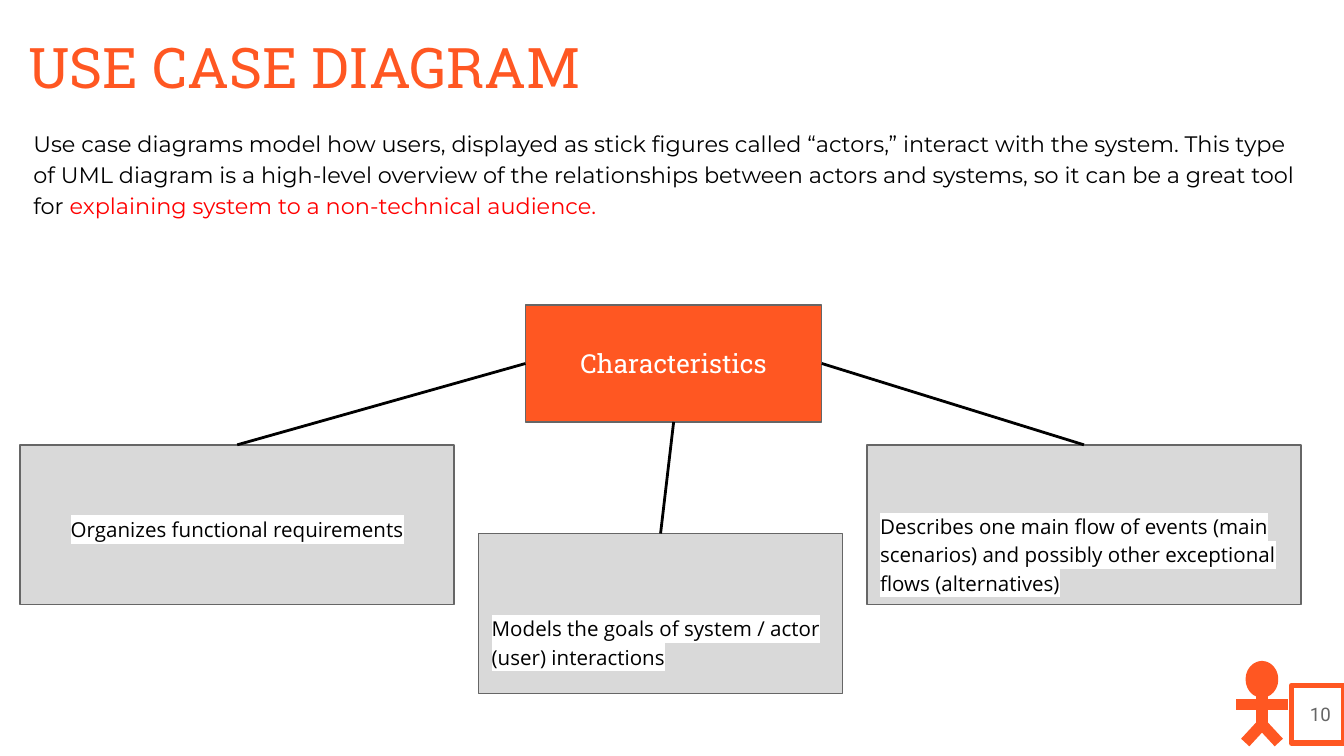
from lxml.etree import SubElement
from pptx import Presentation
from pptx.dml.color import RGBColor
from pptx.enum.shapes import MSO_CONNECTOR, MSO_SHAPE
from pptx.enum.text import MSO_ANCHOR, MSO_AUTO_SIZE, PP_ALIGN
from pptx.oxml.ns import qn
from pptx.util import Inches, Pt

COLORS = {
    "accent": "FF5722",
    "card": "D9D9D9",
    "edge": "666666",
    "ink": "000000",
    "paper": "FFFFFF",
    "alert": "FF0000",
}
COLS, ROWS = 100, 56.25
WIDE, HIGH = Inches(10), Inches(5.625)


class Deck:
    def __init__(self):
        self.prs = Presentation()
        self.prs.slide_width, self.prs.slide_height = WIDE, HIGH
        self.slide = self.prs.slides.add_slide(self.prs.slide_layouts[5])
        self.shapes = self.slide.shapes
        fill = self.slide.background.fill
        fill.solid()
        fill.fore_color.rgb = self.color("paper")

    def color(self, name):
        return RGBColor.from_string(COLORS[name])

    def spot(self, col, row):
        return int(WIDE * col / COLS), int(HIGH * row / ROWS)

    def area(self, col, row, cols, rows):
        return self.spot(col, row) + self.spot(cols, rows)

    def label(self, shape, runs, size, font, align=PP_ALIGN.LEFT,
              anchor=MSO_ANCHOR.TOP, gap=1, spacing=None, mark=None):
        frame = shape.text_frame
        frame.word_wrap = True
        frame.auto_size = MSO_AUTO_SIZE.NONE
        frame.vertical_anchor = anchor
        frame.margin_left = frame.margin_right = frame.margin_top = Inches(0.1)
        frame.margin_bottom = self.spot(0, gap)[1]
        para = frame.paragraphs[0]
        para.alignment = align
        para.line_spacing = spacing
        for text, tint in runs:
            run = para.add_run()
            run.text = text
            run.font.size = Pt(size)
            run.font.color.rgb = self.color(tint)
            if mark:
                light = SubElement(run.font._element, qn("a:highlight"))
                SubElement(light, qn("a:srgbClr"), val=COLORS[mark])
            run.font.name = font

    def title(self, text, *area):
        shape = self.shapes.title
        shape.left, shape.top, shape.width, shape.height = self.area(*area)
        self.label(shape, [(text, "accent")], 30, "Roboto Slab")

    def body(self, runs, *area):
        shape = self.shapes.add_textbox(*self.area(*area))
        self.label(shape, runs, 12, "Montserrat", spacing=1.15, mark="paper")

    def shape(self, kind, area, fill, edge, width, home=None):
        shape = (home or self.shapes).add_shape(kind, *self.area(*area))
        shape.shadow.inherit = False
        if fill:
            shape.fill.solid()
            shape.fill.fore_color.rgb = self.color(fill)
        else:
            shape.fill.background()
        shape.line.color.rgb = self.color(edge)
        shape.line.width = Pt(width)
        return shape

    def box(self, area, fill="card", edge="edge", width=0.75):
        return self.shape(MSO_SHAPE.RECTANGLE, area, fill, edge, width)

    def card(self, text, area, gap, align=PP_ALIGN.LEFT):
        card = self.box(area)
        self.label(card, [(text, "ink")], 11, "Open Sans", align,
                   MSO_ANCHOR.BOTTOM, gap, 1.15, "paper")
        return card

    def line(self, start, end, tint, width, home=None):
        home = self.shapes if home is None else home
        line = home.add_connector(
            MSO_CONNECTOR.STRAIGHT, *self.spot(*start), *self.spot(*end))
        line.line.color.rgb = self.color(tint)
        line.line.width = Pt(width)
        SubElement(line._element.spPr, qn("a:effectLst"))
        return line

    def link(self, root, side, card):
        line = self.line((0, 0), (1, 1), "ink", 1.5)
        line.begin_connect(root, side)
        line.end_connect(card, 0)

    def actor(self, col, top):
        home = self.shapes.add_group_shape().shapes
        neck, arm, hip, foot = (top + step for step in (1.9, 2.8, 4.3, 5.65))
        limbs = [
            ((col, neck), (col, hip)),
            ((col, hip), (col + 1.25, foot)),
            ((col, hip), (col - 1.25, foot)),
            ((col - 1.9, arm), (col + 1.9, arm)),
        ]
        for start, end in limbs:
            self.line(start, end, "accent", 6, home)
        self.shape(MSO_SHAPE.OVAL, (col - 0.8, top, 1.6, 1.9),
                   "accent", "accent", 6, home)

    def number(self, text, *area):
        box = self.box(area, None, "accent", 3)
        self.label(box, [(text, "edge")], 10, "Roboto",
                   PP_ALIGN.RIGHT, MSO_ANCHOR.MIDDLE)


def main():
    deck = Deck()
    deck.title("USE CASE DIAGRAM", 1.1, 1.4, 93.2, 6.3)
    deck.body([
        ("Use case diagrams model how users, displayed as stick figures "
         "called “actors,” interact with the system. This type of UML diagram "
         "is a high-level overview of the relationships between actors and "
         "systems, so it can be a great tool for", "ink"),
        (" explaining system to a non-technical audience.", "alert"),
    ], 1.5, 8.4, 96.6, 43.2)

    root = deck.box((39.1, 22.7, 22.05, 8.7), "accent")
    deck.label(root, [("Characteristics", "paper")], 14, "Roboto Slab",
               PP_ALIGN.CENTER, MSO_ANCHOR.MIDDLE)

    wide, tall, row = 32.3, 11.9, 33.1
    left = deck.card("Organizes functional requirements",
                     (1.5, row, wide, tall), 4.7, PP_ALIGN.CENTER)
    right = deck.card("Describes one main flow of events (main scenarios) and "
                      "possibly other exceptional flows (alternatives)",
                      (64.5, row, wide, tall), 0.7)
    middle = deck.card("Models the goals of system / actor (user) interactions",
                       (35.6, 39.7, 27.1, tall), 1.8)
    for side, card in ((1, left), (2, middle), (3, right)):
        deck.link(root, side, card)

    deck.actor(93.9, 49.6)
    deck.number("10", 96.1, 51, 3.9, 4.3)
    deck.prs.save("out.pptx")


if __name__ == "__main__":
    main()
